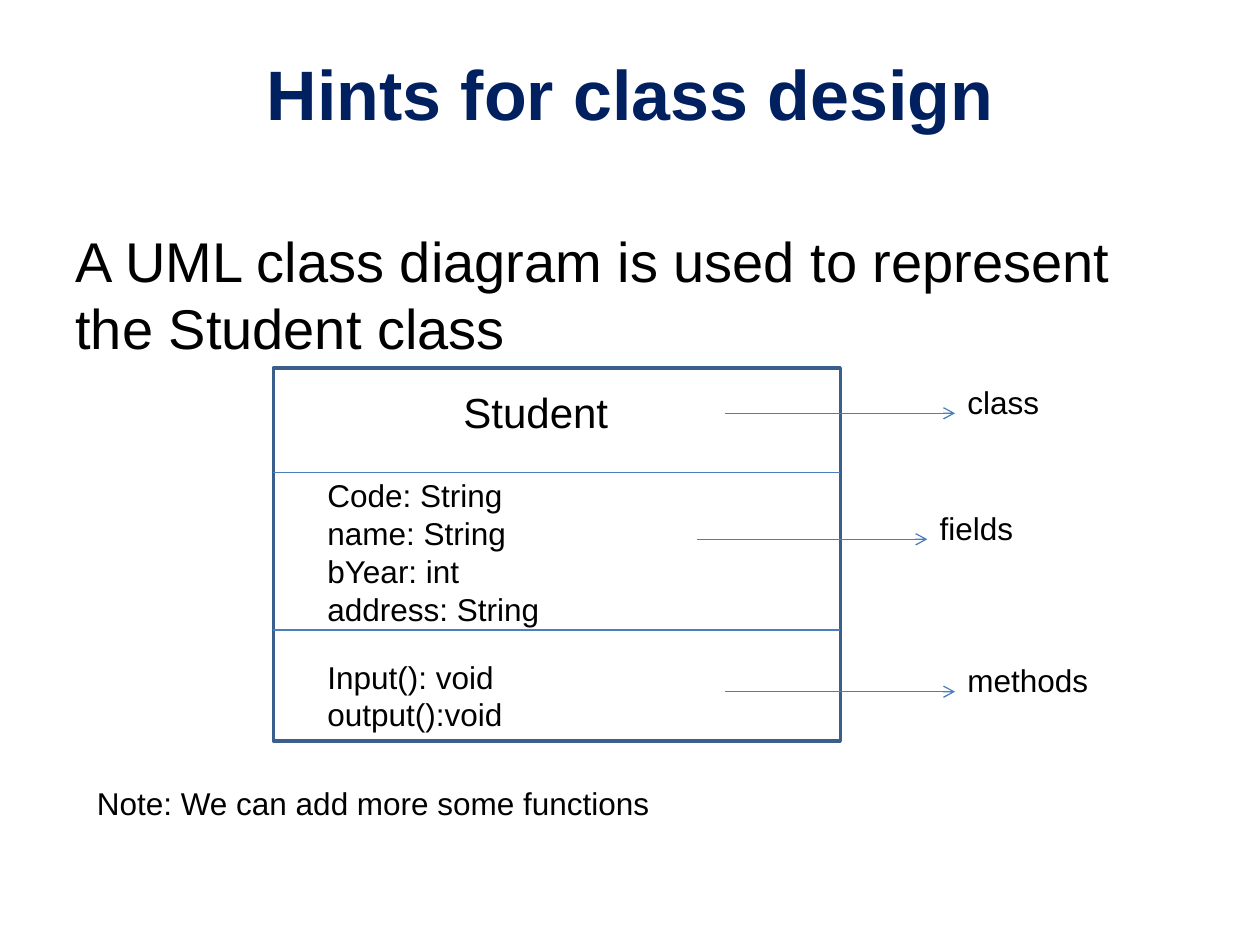
from lxml import etree
from pptx import Presentation
from pptx.dml.color import RGBColor
from pptx.enum import shapes, text
from pptx.oxml import ns
from pptx.util import Inches, Pt

COLORS = {"title": "002060", "text": "000000", "border": "3A5F8C", "line": "4B7EBC"}


class Deck:
    font = "Arial"

    def __init__(self, prs):
        self.s = prs.slides.add_slide(prs.slide_layouts[6])

    def color(self, name):
        return RGBColor.from_string(COLORS[name])

    def text(self, lines, x, y, w, h, size=18, color="text", bold=False,
             align=text.PP_ALIGN.LEFT, anchor=text.MSO_ANCHOR.TOP, wrap=True, before=0):
        tf = self.s.shapes.add_textbox(Inches(x), Inches(y), Inches(w), Inches(h)).text_frame
        tf.word_wrap = wrap
        tf.vertical_anchor = anchor
        p = tf.paragraphs[0]
        p.alignment = align
        p.space_before = Pt(before)
        for i, line in enumerate(lines):
            if i:
                p.add_line_break()
            r = p.add_run()
            r.text = line
            r.font.name, r.font.size, r.font.bold = self.font, Pt(size), bold
            r.font.color.rgb = self.color(color)

    def frame(self, x, y, w, h):
        sp = self.s.shapes.add_shape(shapes.MSO_SHAPE.RECTANGLE,
                                     Inches(x), Inches(y), Inches(w), Inches(h))
        sp.shadow.inherit = False
        sp.fill.background()
        sp.line.color.rgb = self.color("border")
        sp.line.width = Pt(2)

    def rule(self, x, y, length, arrow=False):
        """Draw a horizontal line, with an open arrowhead at its right end if asked."""
        c = self.s.shapes.add_connector(shapes.MSO_CONNECTOR.STRAIGHT, Inches(x), Inches(y),
                                        Inches(x + length), Inches(y))
        c.line.color.rgb = self.color("line")
        c.line.width = Pt(0.75)
        if arrow:
            etree.SubElement(c.line._get_or_add_ln(), ns.qn("a:tailEnd"), type="arrow")
        etree.SubElement(c._element.spPr, ns.qn("a:effectLst"))


def main():
    prs = Presentation()
    prs.slide_width, prs.slide_height = Inches(10), Inches(7.5)
    deck = Deck(prs)

    deck.text(["Hints for class design"], 0.5, 0.3, 9, 0.87, size=40, color="title",
              bold=True, align=text.PP_ALIGN.CENTER, anchor=text.MSO_ANCHOR.MIDDLE)
    deck.text(["A UML class diagram is used to represent the Student class"],
              0.5, 1.75, 9, 1.33, size=32, before=6.4)

    left, width = 2.17, 4.5
    deck.frame(left, 2.92, width, 2.96)
    for y in (3.75, 5):
        deck.rule(left, y, width)
    deck.text(["Student"], 3.58, 3.02, 1.36, 0.5, size=24, wrap=False)
    deck.text(["Code: String", "name: String", "bYear: int", "address: String"],
              2.5, 3.73, 3.83, 1.92)
    deck.text(["Input(): void", "output():void"], 2.5, 5.17, 1.6, 0.71, wrap=False)

    arrow = 1.83
    for label, x, y, w in (("class", 5.75, 3.28, 0.78), ("fields", 5.53, 4.28, 0.79),
                           ("methods", 5.75, 5.49, 1.17)):
        deck.rule(x, y, arrow, arrow=True)
        deck.text([label], x + arrow, y - 0.29, w, 0.4, wrap=False)

    deck.text(["Note: We can add more some functions"], 0.67, 6.17, 8.42, 0.4)
    prs.save("out.pptx")


if __name__ == "__main__":
    main()
